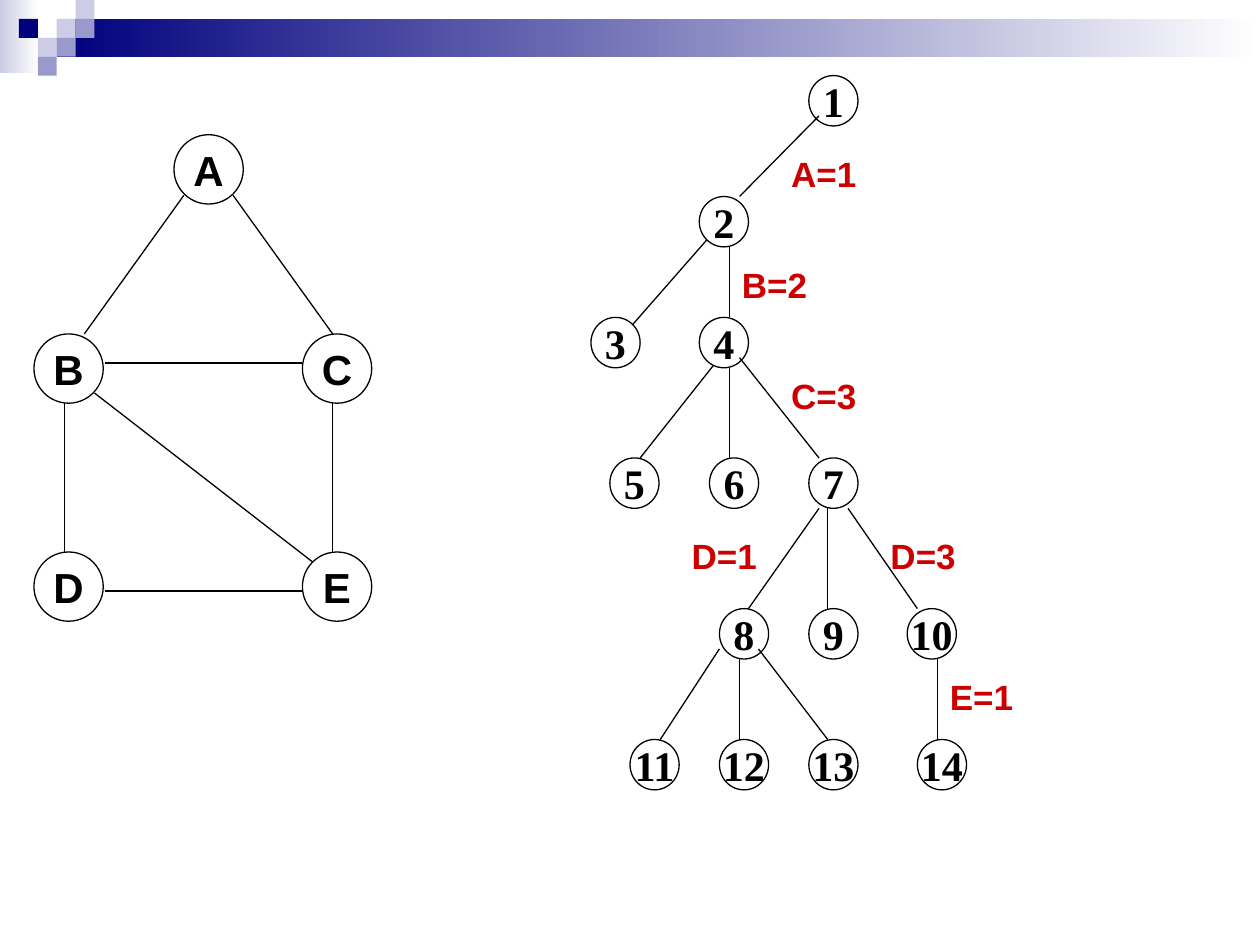
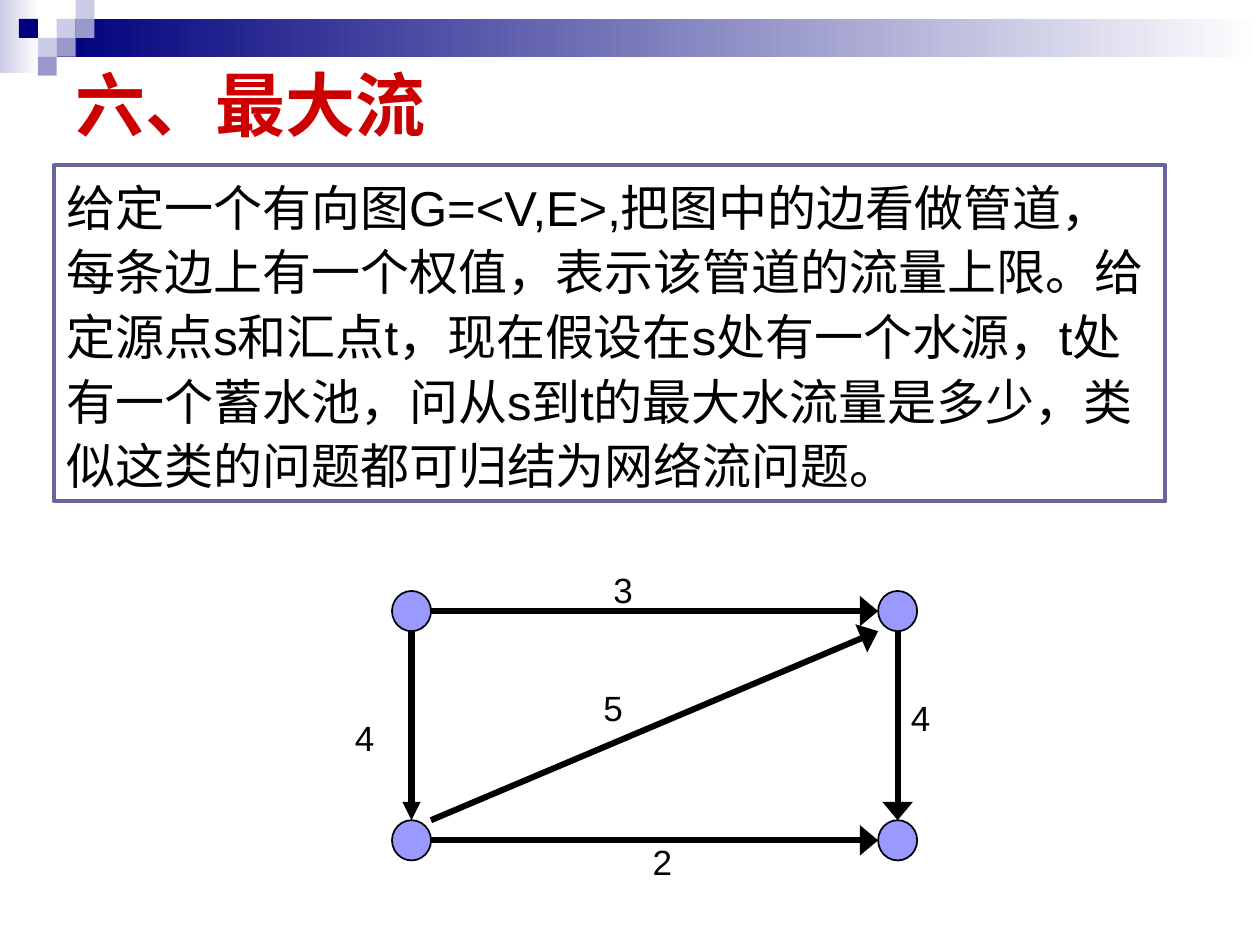
from dataclasses import dataclass
from itertools import product

from lxml import etree
from pptx import Presentation
from pptx.dml.color import RGBColor
from pptx.enum.shapes import MSO_CONNECTOR, MSO_SHAPE
from pptx.enum.text import MSO_ANCHOR, PP_ALIGN
from pptx.oxml.ns import qn
from pptx.util import Pt

RECT, OVAL = MSO_SHAPE.RECTANGLE, MSO_SHAPE.OVAL
STRAIGHT = MSO_CONNECTOR.STRAIGHT
TOP, MIDDLE = MSO_ANCHOR.TOP, MSO_ANCHOR.MIDDLE
LEFT, CENTER = PP_ALIGN.LEFT, PP_ALIGN.CENTER


@dataclass(frozen=True)
class Theme:
    black: str = "000000"
    white: str = "FFFFFF"
    red: str = "CC0000"
    navy: str = "00007D"
    lilac: str = "9999CC"
    pale: str = "CCCCE6"
    frame: str = "666699"
    vertex: str = "9999FF"
    sans: str = "Arial"
    serif: str = "Times New Roman"
    title: int = 40
    body: int = 28
    node: int = 24
    label: int = 20
    thin: float = 0.75
    outline: float = 1
    border: float = 2.25
    arrow: float = 3.5


def rgb(color):
    return RGBColor.from_string(color)


def assign(target, values):
    for name, value in values.items():
        setattr(target, name, value)


class Deck:
    def __init__(self, theme):
        self.theme = theme
        self.prs = Presentation()
        assign(self.prs, {"slide_width": Pt(720), "slide_height": Pt(540)})
        self.s = None

    def slide(self):
        self.s = self.prs.slides.add_slide(self.prs.slide_layouts[6])
        self.band()

    def band(self):
        t, cell = self.theme, 10.8
        self.shape(RECT, 0, 0, 22.3, 41.8, gradient=(t.pale, t.white))
        self.shape(RECT, 3 * cell, cell, 720 - 3 * cell, 2 * cell,
                   gradient=(t.navy, t.white))
        for color, squares in ((t.pale, ((3, 1), (4, 0), (2, 2))),
                               (t.lilac, ((4, 1), (3, 2), (2, 3))),
                               (t.navy, ((1, 1),))):
            for col, row in squares:
                self.shape(RECT, col * cell, row * cell, cell, cell, fill=color)

    def shape(self, kind, x, y, w, h, fill=None, gradient=None, line=None, width=1):
        sp = self.s.shapes.add_shape(kind, Pt(x), Pt(y), Pt(w), Pt(h))
        sp.shadow.inherit = False
        if gradient:
            sp.fill.gradient()
            sp.fill.gradient_angle = 0
            for stop, color in zip(sp.fill.gradient_stops, gradient):
                stop.color.rgb = rgb(color)
        elif fill:
            sp.fill.solid()
            sp.fill.fore_color.rgb = rgb(fill)
        else:
            sp.fill.background()
        if line:
            sp.line.color.rgb = rgb(line)
            sp.line.width = Pt(width)
        else:
            sp.line.fill.background()
        return sp

    def label(self, sp, text, size, color, font=None, bold=False,
              align=LEFT, anchor=TOP, wrap=True, spacing=1.0):
        tf = sp.text_frame
        assign(tf, {"word_wrap": wrap, "vertical_anchor": anchor,
                    "margin_left": Pt(7.2), "margin_right": Pt(7.2),
                    "margin_top": Pt(3.6), "margin_bottom": Pt(3.6)})
        p = tf.paragraphs[0]
        assign(p, {"alignment": align, "line_spacing": spacing})
        r = p.add_run()
        r.text = text
        assign(r.font, {"name": font or self.theme.sans, "size": Pt(size), "bold": bold})
        r.font.color.rgb = rgb(color)

    def text(self, text, x, y, w, h, size, color, **style):
        sp = self.s.shapes.add_textbox(Pt(x), Pt(y), Pt(w), Pt(h))
        self.label(sp, text, size, color, **style)

    def node(self, text, x, y, w, h, font, fill=None):
        t = self.theme
        sp = self.shape(OVAL, x, y, w, h, fill=fill, line=t.black, width=t.thin)
        self.label(sp, text, t.node, t.black, font=font, bold=True,
                   align=CENTER, anchor=MIDDLE, wrap=False)

    def line(self, x1, y1, x2, y2, width=None, head=None):
        cn = self.s.shapes.add_connector(STRAIGHT, Pt(x1), Pt(y1), Pt(x2), Pt(y2))
        cn.line.color.rgb = rgb(self.theme.black)
        cn.line.width = Pt(width or self.theme.thin)
        props = cn.element.spPr
        if head:
            etree.SubElement(props.find(qn("a:ln")), qn("a:tailEnd"),
                             type="triangle", w=head, len="med")
        etree.SubElement(props, qn("a:effectLst"))


def map_graph(deck):
    left, right, size = 19.4, 172.8, 39.6
    places = {"A": (99.4, 77), "B": (left, 190.8), "C": (right, 190.8),
              "D": (left, 315.4), "E": (right, 315.4)}
    for name, (x, y) in places.items():
        deck.node(name, x, y, size, size, deck.theme.sans)
    for edge in ((105.1, 111.6, 48.2, 190.8), (133.2, 111.6, 190.1, 190.8),
                 (59.8, 207.4, right, 207.4), (59.8, 337.7, right, 337.7),
                 (36.7, 230.4, 36.7, 315.4), (190.1, 230.4, 190.1, 315.4),
                 (54, 224.6, 178.6, 321.1)):
        deck.line(*edge)


def search_tree(deck):
    t = deck.theme
    w, h = 28.1, 28.8
    levels = ((43.2, {1: 462.2}),
              (112.3, {2: 399.6}),
              (181.4, {3: 337.7, 4: 399.6}),
              (261.7, {5: 348.5, 6: 405.4, 7: 462.2}),
              (347.8, {8: 411.1, 9: 462.2, 10: 518.4}),
              (422.6, {11: 360, 12: 411.1, 13: 462.2, 14: 524.2}))
    tops = [top for top, _ in levels]
    filled = (2, 3, 4, 6)

    for edge in ((468, 66.2, 422.6, tops[1]), (405.4, 135.4, 360, 187.2),
                 (411.1, 204.5, 365.8, tops[3])):
        deck.line(*edge)
    for top, row in levels:
        for number, x in row.items():
            deck.node(str(number), x, top, w, h, t.serif,
                      fill=t.white if number in filled else None)
    for level, x1, x2, overlap in ((1, 416.9, 416.9, 0), (2, 416.9, 416.9, 0),
                                   (2, 422.6, 468, 5.8),
                                   (3, 468, 427.7, 0), (3, 473, 473, 0),
                                   (3, 484.6, 524.2, 0),
                                   (4, 411.1, 377.3, 5.8), (4, 422.6, 422.6, 0),
                                   (4, 433.4, 473, 5.8), (4, 535.7, 535.7, 0)):
        deck.line(x1, tops[level] + h - overlap, x2, tops[level + 1])
    for choice, x, y in (("A=1", 445, 83.5), ("B=2", 416.9, 146.9),
                         ("C=3", 445, 210.2), ("D=3", 501.8, 301.7),
                         ("D=1", 388.1, 301.7), ("E=1", 535.7, 382.3)):
        deck.text(choice, x, y, 62.6, 31.7, t.label, t.red, bold=True)


def flow_network(deck):
    t = deck.theme
    left, right, top, bottom = 224, 501.8, 337.7, 468.7
    w, h = 22.3, 23
    for x, y in product((left, right), (top, bottom)):
        deck.shape(OVAL, x, y, w, h, fill=t.vertex, line=t.black, width=t.outline)
    for x1, y1, x2, y2, head in (
            (left + w / 2, top + h, left + w / 2, bottom, "med"),
            (right + w / 2, top + h, right + w / 2, bottom, "lg"),
            (left + w, bottom + h / 2, right, bottom + h / 2, "lg"),
            (left + w, top + h / 2, right, top + h / 2, "lg"),
            (left + w, bottom, right, top + h, "lg")):
        deck.line(x1, y1, x2, y2, t.arrow, head)
    for capacity, x, y in (("4", 195.8, 406.1), ("3", 343.4, 321.1),
                           ("5", 337.7, 388.8), ("4", 513.4, 394.6),
                           ("2", 365.8, 476.6)):
        deck.text(capacity, x, y, 45.4, 31.7, t.label, t.black)


def main():
    t = Theme()
    deck = Deck(t)

    deck.slide()
    map_graph(deck)
    search_tree(deck)

    deck.slide()
    deck.text("六、最大流", 36, 36, 346.3, 46.8, t.title, t.red,
              bold=True, anchor=MIDDLE)
    box = deck.shape(RECT, 31, 94.3, 635, 192.2, line=t.frame, width=t.border)
    deck.label(box, "给定一个有向图G=<V,E>,把图中的边看做管道，每条边上有一个权值，"
                    "表示该管道的流量上限。给定源点s和汇点t，现在假设在s处有一个水源，"
                    "t处有一个蓄水池，问从s到t的最大水流量是多少，"
                    "类似这类的问题都可归结为网络流问题。",
               t.body, t.black, spacing=1.1)
    flow_network(deck)

    deck.prs.save("out.pptx")


if __name__ == "__main__":
    main()
